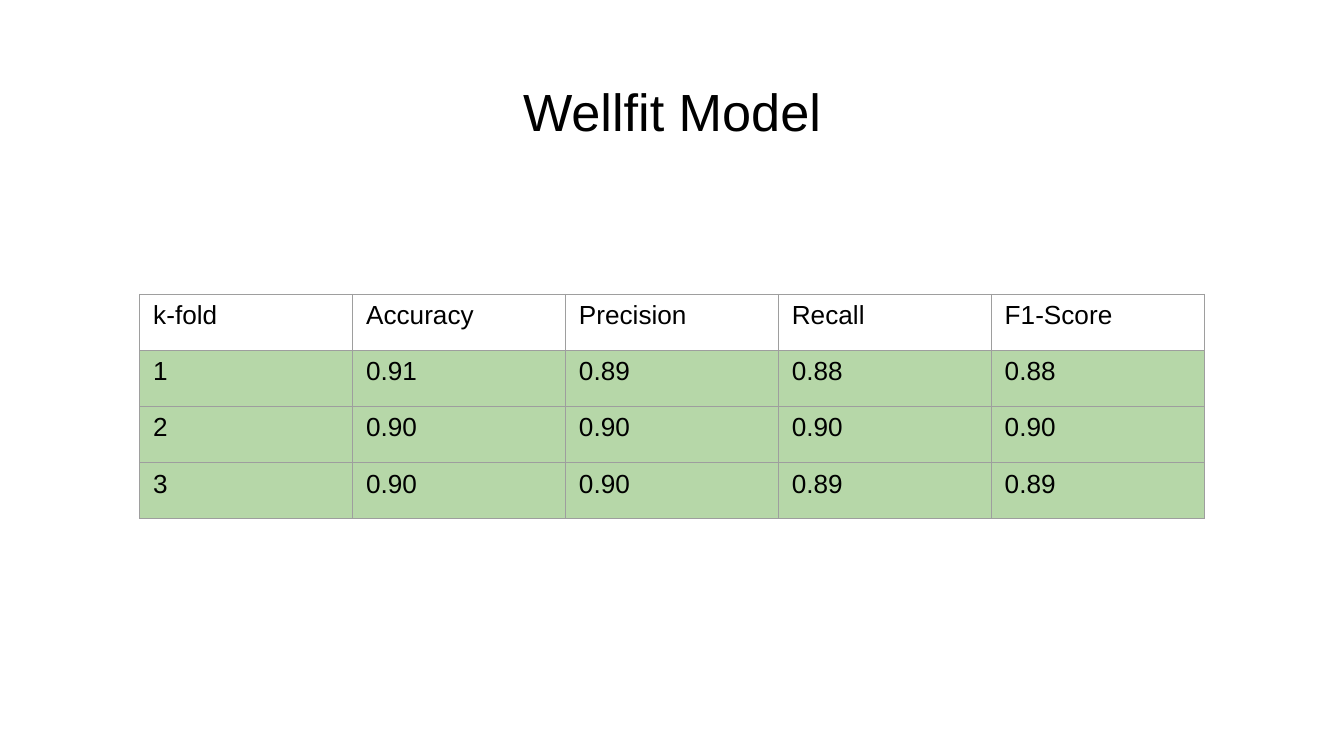
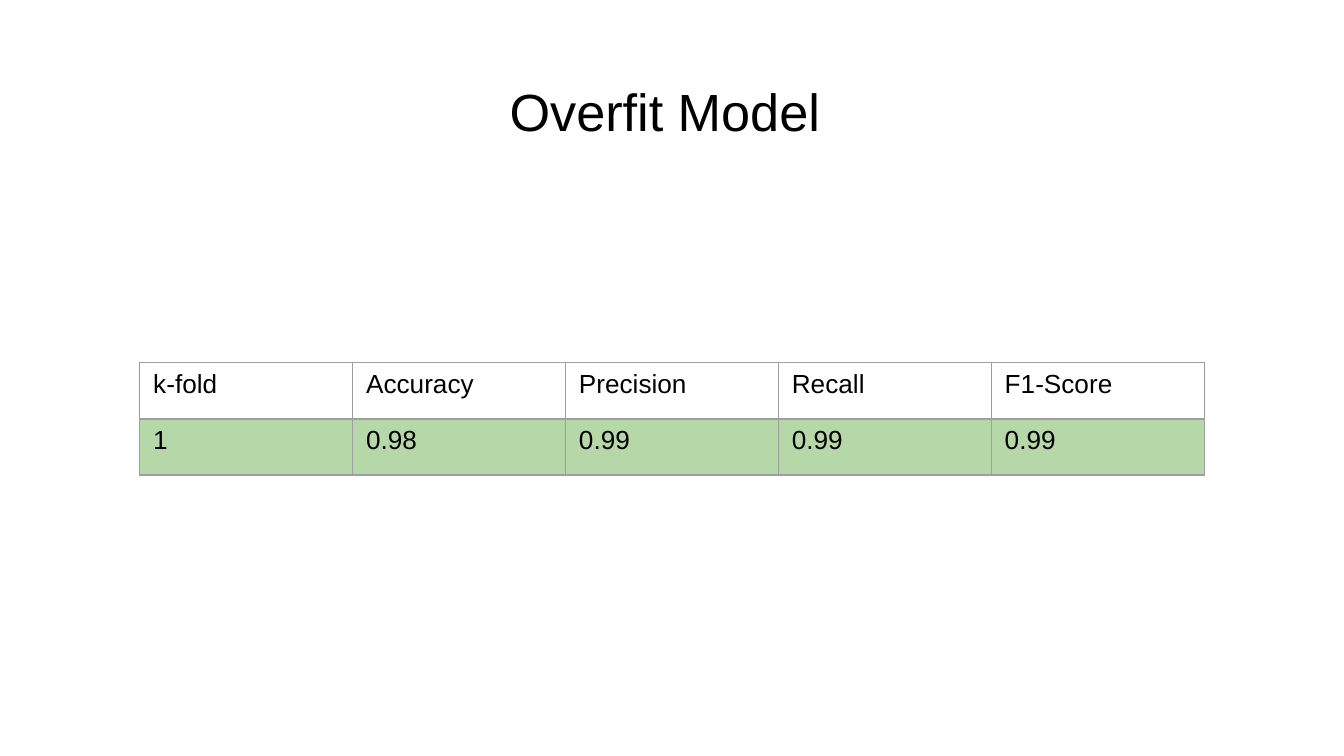
import dataclasses

import lxml.etree
import pptx
import pptx.dml.color
import pptx.enum.text
import pptx.oxml.ns
import pptx.presentation
import pptx.slide
import pptx.table
import pptx.text.text
import pptx.util

Inches = pptx.util.Inches
Pt = pptx.util.Pt
RGB = pptx.dml.color.RGBColor
qn = pptx.oxml.ns.qn


@dataclasses.dataclass(frozen=True)
class Theme:
    font: str = "Arial"
    ink: str = "000000"
    paper: str = "FFFFFF"
    score_fill: str = "B6D7A8"
    border: str = "9E9E9E"
    border_width: float = 0.75
    title_size: int = 28
    cell_size: int = 14


@dataclasses.dataclass(frozen=True)
class ModelSlide:
    title: str
    table_top: float
    folds: tuple[tuple[str, ...], ...]


THEME = Theme()
SLIDE_WIDTH = 10
SLIDE_HEIGHT = SLIDE_WIDTH * 9 / 16
HEADER = ("k-fold", "Accuracy", "Precision", "Recall", "F1-Score")
TABLE_LEFT, TABLE_WIDTH = 1.04, 7.92
COL_WIDTH = TABLE_WIDTH / len(HEADER)
ROW_HEIGHT = 1.67 / 4

MODELS = (
    ModelSlide("Wellfit Model", 2.19, (
        ("1", "0.91", "0.89", "0.88", "0.88"),
        ("2", "0.90", "0.90", "0.90", "0.90"),
        ("3", "0.90", "0.90", "0.89", "0.89"),
    )),
    ModelSlide("Overfit Model ", 2.7, (
        ("1", "0.98", "0.99", "0.99", "0.99"),
    )),
)


def write(tf: pptx.text.text.TextFrame, text: str, size: int) -> None:
    r = tf.paragraphs[0].add_run()
    r.text = text
    for name, value in {"name": THEME.font, "size": Pt(size)}.items():
        setattr(r.font, name, value)
    r.font.color.rgb = RGB.from_string(THEME.ink)


def add_title(s: pptx.slide.Slide, text: str) -> None:
    sp = s.shapes.add_textbox(Inches(0.34), Inches(0.49), Inches(9.32), Inches(0.63))
    tf = sp.text_frame
    frame_format = {
        "word_wrap": True,
        "vertical_anchor": pptx.enum.text.MSO_ANCHOR.TOP,
        **{f"margin_{side}": Inches(0.1) for side in ("left", "top", "right", "bottom")},
    }
    for name, value in frame_format.items():
        setattr(tf, name, value)
    tf.paragraphs[0].alignment = pptx.enum.text.PP_ALIGN.CENTER
    write(tf, text, THEME.title_size)


def add_borders(cell: pptx.table._Cell) -> None:
    # Border lines come before the fill in the cell properties
    props = cell._tc.get_or_add_tcPr()
    for i, tag in enumerate(("a:lnL", "a:lnR", "a:lnT", "a:lnB")):
        ln = lxml.etree.Element(qn(tag), w=str(int(Pt(THEME.border_width))))
        fill = lxml.etree.SubElement(ln, qn("a:solidFill"))
        lxml.etree.SubElement(fill, qn("a:srgbClr"), val=THEME.border)
        props.insert(i, ln)


def add_scores(s: pptx.slide.Slide, top: float, folds: tuple[tuple[str, ...], ...]) -> None:
    rows = (HEADER, *folds)
    table = s.shapes.add_table(
        len(rows), len(HEADER), Inches(TABLE_LEFT), Inches(top),
        Inches(TABLE_WIDTH), Inches(ROW_HEIGHT * len(rows)),
    ).table
    for name, value in {"first_row": False, "horz_banding": False}.items():
        setattr(table, name, value)
    for column in table.columns:
        column.width = Inches(COL_WIDTH)
    for i, values in enumerate(rows):
        table.rows[i].height = Inches(ROW_HEIGHT)
        for j, value in enumerate(values):
            cell = table.cell(i, j)
            if i == 0:
                cell.fill.background()
            else:
                cell.fill.solid()
                cell.fill.fore_color.rgb = RGB.from_string(THEME.score_fill)
            add_borders(cell)
            write(cell.text_frame, value, THEME.cell_size)


def add_model(prs: pptx.presentation.Presentation, model: ModelSlide) -> None:
    s = prs.slides.add_slide(prs.slide_layouts[6])
    s.background.fill.solid()
    s.background.fill.fore_color.rgb = RGB.from_string(THEME.paper)
    add_title(s, model.title)
    add_scores(s, model.table_top, model.folds)


def main() -> None:
    prs = pptx.Presentation()
    prs.slide_width, prs.slide_height = Inches(SLIDE_WIDTH), Inches(SLIDE_HEIGHT)
    for model in MODELS:
        add_model(prs, model)
    prs.save("out.pptx")


if __name__ == "__main__":
    main()
